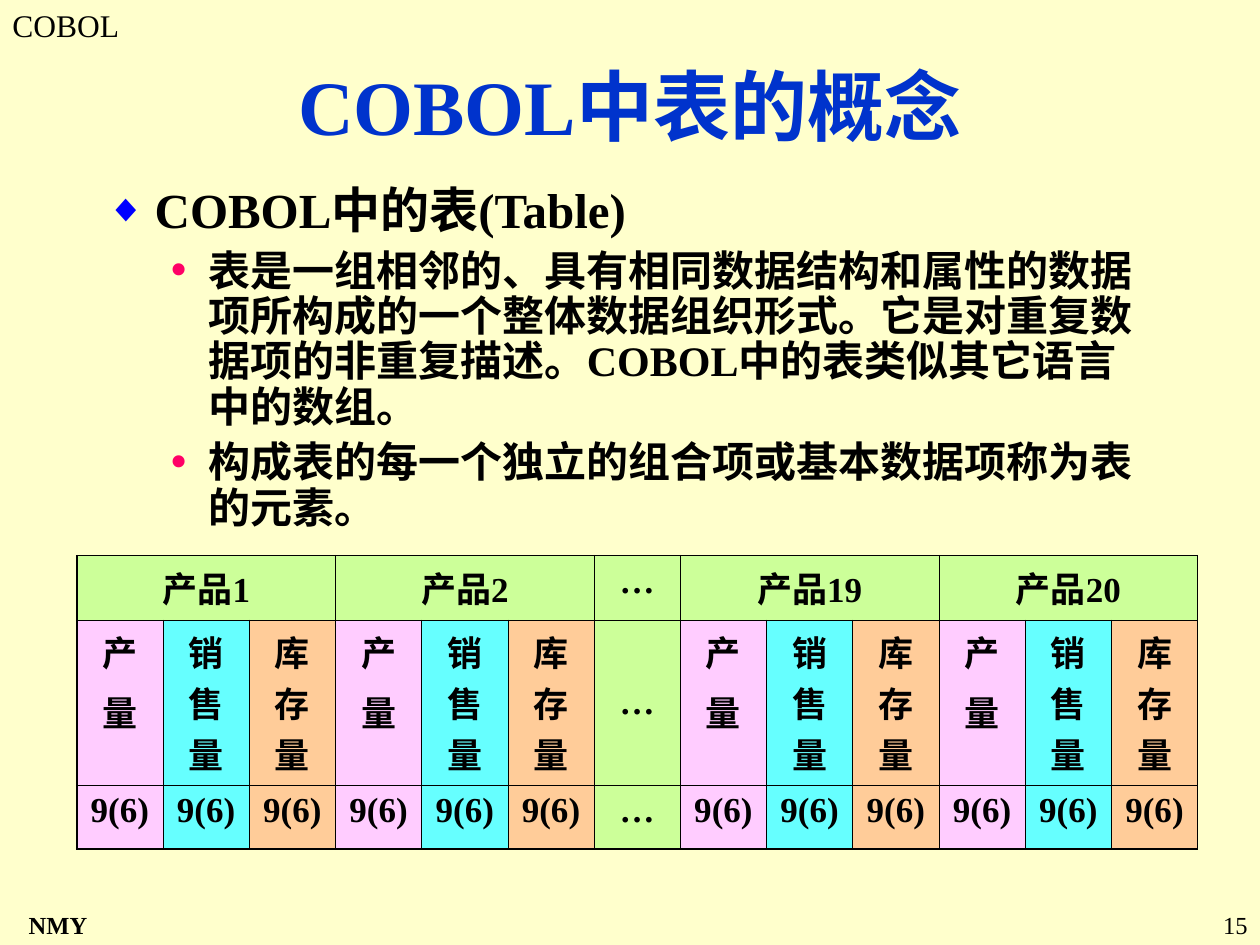
"""Build the slide that explains tables in COBOL."""
import pptx
import pptx.dml.color
import pptx.enum.text
import pptx.oxml
import pptx.oxml.ns
import pptx.util

Inches = pptx.util.Inches
Pt = pptx.util.Pt
Align = pptx.enum.text.PP_ALIGN
Anchor = pptx.enum.text.MSO_ANCHOR
RGB = pptx.dml.color.RGBColor.from_string
hues = {
    "page": "FFFFCC", "title": "0033CC", "text": "000000",
    "diamond": "0000FF", "dot": "FF0066", "head": "CCFF99",
    "output": "FFCCFF", "sales": "66FFFF", "stock": "FFCC99",
}


def style(para, size, bold=True, hue="text", align=Align.LEFT):
    para.alignment = align
    para.font.name = "Times New Roman"
    para.font.size = Pt(size)
    para.font.bold = bold
    para.font.color.rgb = RGB(hues[hue])


def add(parent, tag, inner="", **attrs):
    text = " ".join(f'{key}="{val}"' for key, val in attrs.items())
    space = pptx.oxml.ns.nsdecls("a")
    parent.append(pptx.oxml.parse_xml(f"<a:{tag} {space} {text}>{inner}</a:{tag}>"))


deck = pptx.Presentation()
deck.slide_width, deck.slide_height = Inches(10), Inches(7.5)
slide = deck.slides.add_slide(deck.slide_layouts[6])
slide.background.fill.solid()
slide.background.fill.fore_color.rgb = RGB(hues["page"])

labels = [
    ("COBOL", (0, 0, 1.17, 0.4), 18, False, "text", Align.LEFT),
    ("COBOL中表的概念", (0.75, 0.42, 8.5, 0.83), 44, True, "title", Align.CENTER),
    ("NMY", (0, 7.17, 0.92, 0.33), 14, True, "text", Align.CENTER),
    ("15", (9.33, 7.17, 0.67, 0.33), 14, False, "text", Align.RIGHT),
]
for text, place, size, bold, hue, align in labels:
    frame = slide.shapes.add_textbox(*map(Inches, place)).text_frame
    frame.word_wrap = True
    frame.text = text
    if hue == "title":
        frame.vertical_anchor = Anchor.MIDDLE
    style(frame.paragraphs[0], size, bold, hue, align)

points = [
    (0, "COBOL中的表(Table)"),
    (1, "表是一组相邻的、具有相同数据结构和属性的数据项所构成的一个整体数据组织形式。"
        "它是对重复数据项的非重复描述。COBOL中的表类似其它语言中的数组。"),
    (1, "构成表的每一个独立的组合项或基本数据项称为表的元素。"),
]
levels = [
    (28, 0.38, 0.38, "◆", "diamond", 80),
    (24, 0.81, 0.31, "•", "dot", 120),
]
body = slide.shapes.add_textbox(*map(Inches, (0.75, 1.43, 8.5, 2.96))).text_frame
body.word_wrap = True
body.text = "\n".join(text for level, text in points)
for para, (level, text) in zip(body.paragraphs, points):
    size, left, hang, mark, hue, scale = levels[level]
    para.level = level
    para.line_spacing = 0.9
    if level:
        para.space_before = Pt(6)
    props = para._p.get_or_add_pPr()
    props.set("marL", str(Inches(left)))
    props.set("indent", str(-Inches(hang)))
    add(props, "buClr", f'<a:srgbClr val="{hues[hue]}"/>')
    add(props, "buSzPct", val=scale * 1000)
    add(props, "buFont", typeface="Times New Roman")
    add(props, "buChar", char=mark)
    style(para, size)

heights = [0.51, 1.31, 0.51]
fields = [("产\n量", "output"), ("销售量", "sales"), ("库存量", "stock")]
groups = {0: "产品1", 3: "产品2", 7: "产品19", 10: "产品20"}
rows, cols, gap = 3, 13, 6
grid = slide.shapes.add_table(
    rows, cols, *map(Inches, (0.61, 4.41, 8.9, sum(heights)))).table
grid.first_row = grid.horz_banding = False
for row, height in zip(grid.rows, heights):
    row.height = Inches(height)
for col in grid.columns:
    col.width = Inches(8.9 / cols)

for r in range(rows):
    for c in range(cols):
        cell = grid.cell(r, c)
        name, hue = fields[(c - (c > gap)) % 3]
        if c == gap:
            text, hue = "…", "head"
        elif r == 0:
            text, hue = groups.get(c, ""), "head"
        else:
            text = name if r == 1 else "9(6)"
        if text:
            cell.text = text
        if c == gap and r == 1:
            cell.vertical_anchor = Anchor.MIDDLE
        for para in cell.text_frame.paragraphs:
            style(para, 20, align=Align.CENTER)
        for para in cell.text_frame.paragraphs[1:]:
            para.space_before = Pt(5)
        edges = {"L": c == 0, "R": c == cols - 1, "T": r == 0, "B": r == rows - 1}
        for side, outer in edges.items():
            add(cell._tc.get_or_add_tcPr(), f"ln{side}",
                f'<a:solidFill><a:srgbClr val="{hues["text"]}"/></a:solidFill>',
                w=Pt(1.08 if outer else 0.45))
        cell.fill.solid()
        cell.fill.fore_color.rgb = RGB(hues[hue])
for c in groups:
    grid.cell(0, c).merge(grid.cell(0, c + 2))

deck.save("out.pptx")
